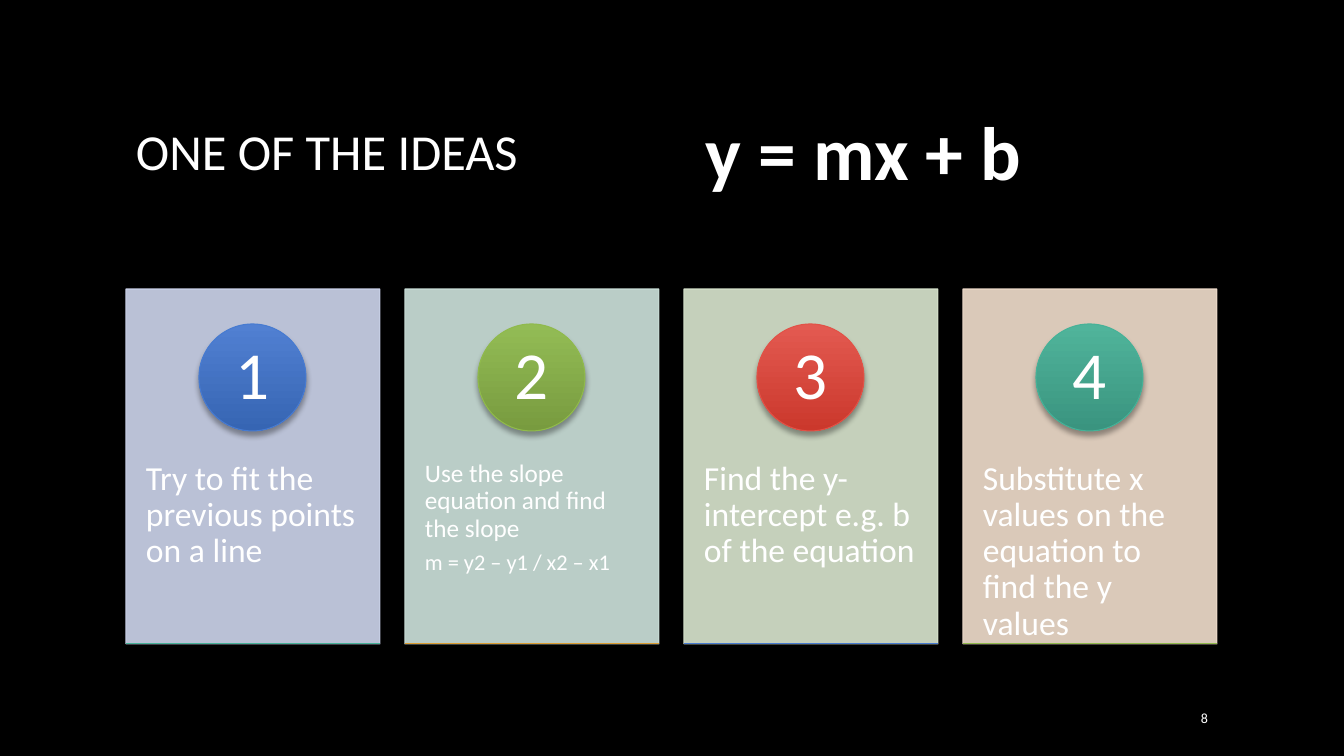
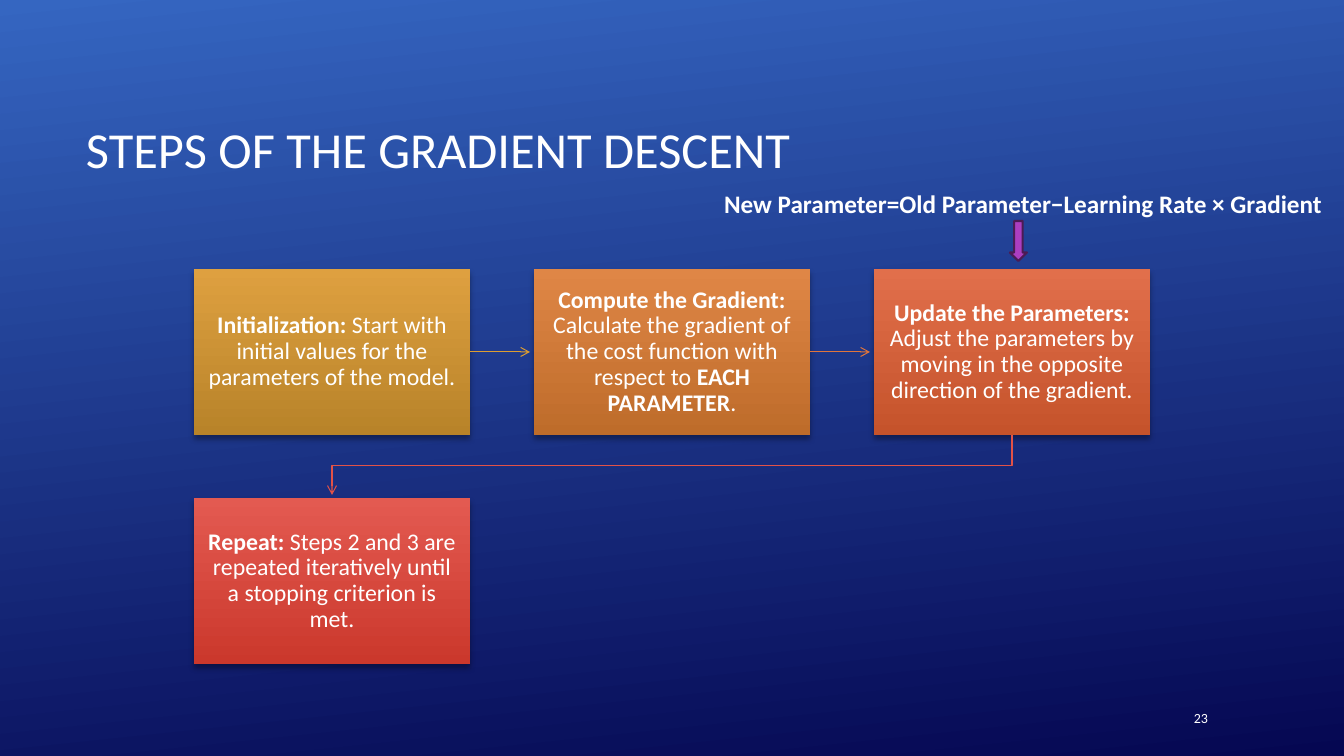
from dataclasses import dataclass
from typing import NamedTuple

from lxml import etree
from pptx import Presentation
from pptx import util as u
from pptx.dml.color import RGBColor
from pptx.dml.fill import FillFormat
from pptx.enum import shapes, text
from pptx.oxml.ns import qn
from pptx.presentation import Presentation as Deck
from pptx.shapes.autoshape import Shape
from pptx.shapes.base import BaseShape
from pptx.slide import Slide
from pptx.text.text import TextFrame

SLIDE_W, SLIDE_H = 1344, 756
SCALE = 12192000 / SLIDE_W  # EMU in one px


class Box(NamedTuple):
    left: int
    top: int
    width: int
    height: int


class Insets(NamedTuple):
    left: int = 10
    top: int = 5
    right: int = 10
    bottom: int = 5


class Tone(NamedTuple):
    top: str
    bottom: str
    line: str


# ---- Theme ----
@dataclass(frozen=True)
class Theme:
    font: str = "Calibri"
    ink: str = "FFFFFF"
    black: str = "000000"
    blue: Tone = Tone("5180D2", "3665B3", "477BD1")
    green: Tone = Tone("93BC55", "789B3F", "90BA4C")
    red: Tone = Tone("E35A51", "CB382C", "E25247")
    teal: Tone = Tone("50B49B", "3A947F", "46B298")
    gold: Tone = Tone("DEA040", "B88329", "DD9D31")
    orange: Tone = Tone("DF8646", "BE6C2A", "E0753C")
    coral: Tone = Tone("E16F4B", "C5532B", "E25247")
    night: Tone = Tone("3566C1", "050752", "050752")
    pointer: str = "AC3EC1"
    pointer_line: str = "4B1B55"
    title: int = 36
    equation: int = 54
    badge: int = 48
    body: int = 24
    small: int = 18
    note: int = 16
    step: int = 17
    number: int = 10
    hairline: float = 0.75


THEME = Theme()


# ---- Content records ----
class Line(NamedTuple):
    text: str
    size: int


@dataclass(frozen=True)
class Card:
    lines: tuple[Line, ...]
    panel: str
    badge: Tone
    edge: Tone


@dataclass(frozen=True)
class Step:
    text: str  # bold parts stand between double asterisks
    tone: Tone


CARDS = (
    Card((Line("Try to fit the previous points on a line", THEME.body),),
         "CFD7EE", THEME.blue, THEME.teal),
    Card((Line("Use the slope equation and find the slope", THEME.small),
          Line("m = y2 – y1 / x2 – x1", THEME.note)),
         "CFE4DD", THEME.green, THEME.gold),
    Card((Line("Find the y-intercept e.g. b of the equation", THEME.body),),
         "DBE7D0", THEME.red, THEME.blue),
    Card((Line("Substitute x values on the equation to find the y values", THEME.body),),
         "F2DFCE", THEME.teal, THEME.green),
)

STEPS = (
    Step("**Initialization:** Start with initial values for the parameters of the model.",
         THEME.gold),
    Step("**Compute the Gradient:** Calculate the gradient of the cost function "
         "with respect to **EACH PARAMETER**.", THEME.orange),
    Step("**Update the Parameters:** Adjust the parameters by moving in the opposite "
         "direction of the gradient.", THEME.coral),
    Step("**Repeat:** Steps 2 and 3 are repeated iteratively until a stopping "
         "criterion is met.", THEME.red),
)


# ---- Helpers ----
def px(n: float) -> u.Emu:
    return u.Emu(round(n * SCALE))


def rgb(color: str) -> RGBColor:
    return RGBColor.from_string(color)


def emu(box: Box) -> tuple[u.Emu, ...]:
    return tuple(px(n) for n in box)


def set_solid(fill: FillFormat, color: str) -> None:
    fill.solid()
    fill.fore_color.rgb = rgb(color)


def set_gradient(fill: FillFormat, tone: Tone, clockwise: int = 90) -> None:
    fill.gradient()
    fill.gradient_angle = 360 - clockwise
    for stop, color in zip(fill.gradient_stops, (tone.top, tone.bottom)):
        stop.color.rgb = rgb(color)


def set_line(sp: BaseShape, color: str, width: float = THEME.hairline) -> None:
    sp.line.width = u.Pt(width)
    set_solid(sp.line.fill, color)


def set_alpha(sp: Shape, percent: int) -> None:
    for color in sp._element.spPr.iter(qn("a:srgbClr")):
        etree.SubElement(color, qn("a:alpha"), val=str(percent * 1000))


def add_soft_shadow(sp: Shape) -> None:
    effects = sp._element.spPr.find(qn("a:effectLst"))
    shadow = etree.SubElement(effects, qn("a:outerShdw"), blurRad=str(u.Pt(4)),
                              dist=str(u.Pt(3)), dir="5400000", rotWithShape="0")
    color = etree.SubElement(shadow, qn("a:srgbClr"), val=THEME.black)
    etree.SubElement(color, qn("a:alpha"), val="35000")


def add_arrowhead(sp: BaseShape) -> None:
    etree.SubElement(sp._element.spPr.find(qn("a:ln")), qn("a:tailEnd"), type="arrow")


def set_frame(sp: Shape, insets: Insets = Insets(), wrap: bool = True,
              anchor: text.MSO_ANCHOR = text.MSO_ANCHOR.MIDDLE) -> TextFrame:
    tf = sp.text_frame
    tf.word_wrap = wrap
    tf.vertical_anchor = anchor
    tf.margin_left, tf.margin_top, tf.margin_right, tf.margin_bottom = map(px, insets)
    return tf


def write(tf: TextFrame, content: str, *, size: int, bold: bool = False,
          align: text.PP_ALIGN = text.PP_ALIGN.LEFT, spacing: float = 1.0,
          after: float = 0) -> None:
    """Add one paragraph; parts between double asterisks switch the weight."""
    p = tf.add_paragraph() if tf.text else tf.paragraphs[0]
    p.alignment = align
    p.line_spacing = spacing
    p.space_after = u.Pt(after)
    for i, part in enumerate(content.split("**")):
        if part:
            r = p.add_run()
            r.text = part
            r.font.name = THEME.font
            r.font.size = u.Pt(size)
            r.font.bold = bold != (i % 2 == 1)
            r.font.color.rgb = rgb(THEME.ink)


def add_label(s: Slide, box: Box, content: str, *, size: int, bold: bool = False,
              align: text.PP_ALIGN = text.PP_ALIGN.LEFT, after: float = 0) -> None:
    tf = set_frame(s.shapes.add_textbox(*emu(box)), wrap=False)
    write(tf, content, size=size, bold=bold, align=align, after=after)


def add_shape(s: Slide, kind: shapes.MSO_SHAPE, box: Box, fill: str | Tone,
              line: str | None = None, width: float = THEME.hairline) -> Shape:
    """Solid fill for a colour; gradient fill and soft shadow for a tone."""
    sp = s.shapes.add_shape(kind, *emu(box))
    if isinstance(fill, Tone):
        set_gradient(sp.fill, fill)
    else:
        set_solid(sp.fill, fill)
    if line:
        set_line(sp, line, width)
    else:
        sp.line.fill.background()
    sp.shadow.inherit = False
    if isinstance(fill, Tone):
        add_soft_shadow(sp)
    return sp


def add_line(s: Slide, x1: int, y1: int, x2: int, y2: int, color: str,
             arrow: bool = False) -> None:
    c = s.shapes.add_connector(shapes.MSO_CONNECTOR.STRAIGHT, *map(px, (x1, y1, x2, y2)))
    set_line(c, color)
    if arrow:
        add_arrowhead(c)
    etree.SubElement(c._element.spPr, qn("a:effectLst"))


def add_slide(prs: Deck, title: str, title_box: Box, number: int) -> Slide:
    s = prs.slides.add_slide(prs.slide_layouts[5])
    sp = s.shapes.title
    sp.left, sp.top, sp.width, sp.height = emu(title_box)
    write(set_frame(sp), title, size=THEME.title)
    add_label(s, Box(1133, 698, 85, 40), str(number), size=THEME.number,
              align=text.PP_ALIGN.RIGHT, after=6)
    return s


# ---- Slide: idea cards ----
def add_card(s: Slide, card: Card, number: int, box: Box) -> None:
    panel = add_shape(s, shapes.MSO_SHAPE.RECTANGLE, box, card.panel, card.panel)
    set_alpha(panel, 90)
    tf = set_frame(panel, Insets(20, 172, 20, 0), anchor=text.MSO_ANCHOR.TOP)
    for line in card.lines:
        write(tf, line.text, size=line.size, spacing=0.9, after=round(line.size * 0.35))

    size = 107
    badge_box = Box(box.left + (box.width - size) // 2, box.top + 35, size, size)
    badge = add_shape(s, shapes.MSO_SHAPE.OVAL, badge_box, card.badge, card.badge.line)
    write(set_frame(badge, Insets(0, 0, 0, 0), wrap=False), str(number),
          size=THEME.badge, align=text.PP_ALIGN.CENTER, spacing=0.9)

    bottom = box.top + box.height
    add_line(s, box.left, bottom, box.left + box.width, bottom, card.edge.line)


def build_ideas(prs: Deck) -> None:
    s = add_slide(prs, "ONE OF THE IDEAS", Box(126, 69, 1092, 163), 8)
    set_solid(s.background.fill, THEME.black)
    for i, card in enumerate(CARDS):
        add_card(s, card, i + 1, Box(126 + i * 279, 289, 254, 355))
    add_label(s, Box(671, 99, 385, 102), "y = mx + b", size=THEME.equation, bold=True,
              align=text.PP_ALIGN.CENTER)


# ---- Slide: gradient descent flow ----
def build_descent(prs: Deck) -> None:
    s = add_slide(prs, "STEPS OF THE GRADIENT DESCENT", Box(76, 68, 1117, 160), 23)
    set_gradient(s.background.fill, THEME.night, 84)

    # Step boxes, three to a row
    boxes = []
    for i, step in enumerate(STEPS):
        row, col = divmod(i, 3)
        box = Box(194 + col * 340, 269 + row * 229, 276, 166)
        boxes.append(box)
        sp = add_shape(s, shapes.MSO_SHAPE.RECTANGLE, box, step.tone)
        write(set_frame(sp, Insets(13, 14, 13, 14)), step.text, size=THEME.step,
              align=text.PP_ALIGN.CENTER, spacing=0.9, after=6)

    # Arrows along the first row
    for box, step in zip(boxes[:2], STEPS):
        right, middle = box.left + box.width, box.top + box.height // 2
        add_line(s, right, middle, right + 60, middle, step.tone.line, arrow=True)

    # Bent arrow back to the second row
    update, repeat = boxes[2:]
    start_x, end_x = (b.left + b.width // 2 for b in (update, repeat))
    bottom = update.top + update.height
    bend = (bottom + repeat.top) // 2
    outline = s.shapes.build_freeform(start_x, bottom, scale=SCALE)
    outline.add_line_segments(
        [(start_x, bend), (end_x, bend), (end_x, repeat.top - 3)], close=False)
    bent = outline.convert_to_shape()
    bent.fill.background()
    set_line(bent, STEPS[2].tone.line)
    add_arrowhead(bent)
    bent.shadow.inherit = False

    # Update rule and its pointer
    add_label(s, Box(714, 182, 620, 42),
              "New Parameter=Old Parameter−Learning Rate × Gradient",
              size=THEME.small, bold=True)
    add_shape(s, shapes.MSO_SHAPE.DOWN_ARROW, Box(1010, 221, 17, 40), THEME.pointer,
              THEME.pointer_line, 1.5)


def main() -> None:
    prs = Presentation()
    prs.slide_width, prs.slide_height = px(SLIDE_W), px(SLIDE_H)
    build_ideas(prs)
    build_descent(prs)
    prs.save("out.pptx")


if __name__ == "__main__":
    main()
